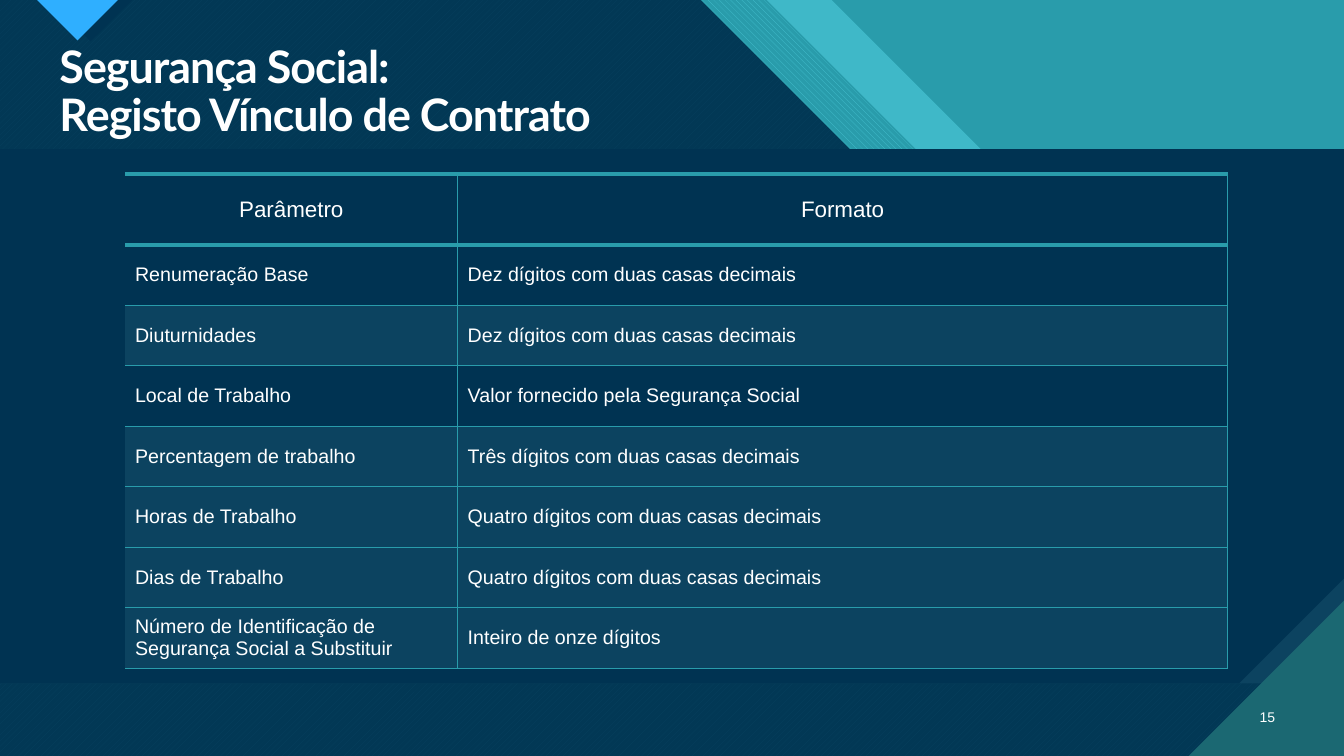
from lxml import etree
from pptx import Presentation
from pptx.dml.color import RGBColor
from pptx.enum.dml import MSO_PATTERN
from pptx.enum.text import MSO_ANCHOR, PP_ALIGN
from pptx.oxml.ns import qn
from pptx.util import Pt

DOWN_STRIPES = MSO_PATTERN.WIDE_DOWNWARD_DIAGONAL
UP_STRIPES = MSO_PATTERN.WIDE_UPWARD_DIAGONAL
MIDDLE = MSO_ANCHOR.MIDDLE
LEFT, CENTER, RIGHT = PP_ALIGN.LEFT, PP_ALIGN.CENTER, PP_ALIGN.RIGHT

TITLE = "Segurança Social:\vRegisto Vínculo de Contrato"
PAGE_NUMBER = "15"
HEADER = ("Parâmetro", "Formato")
PARAMETERS = [
    # name, format, shaded
    ("Renumeração Base", "Dez dígitos com duas casas decimais", False),
    ("Diuturnidades", "Dez dígitos com duas casas decimais", True),
    ("Local de Trabalho", "Valor fornecido pela Segurança Social", False),
    ("Percentagem de trabalho", "Três dígitos com duas casas decimais", True),
    ("Horas de Trabalho", "Quatro dígitos com duas casas decimais", True),
    ("Dias de Trabalho", "Quatro dígitos com duas casas decimais", True),
    ("Número de Identificação de Segurança Social a Substituir",
     "Inteiro de onze dígitos", True),
]

NAVY, SHADE, TEAL, LIGHT = "003352", "0C4360", "299CAB", "47C3D3"
GREEN, BLUE, WHITE = "1B6872", "2FAFFF", "FFFFFF"
WIDTH, HEIGHT = 960, 540
SHELF = 214
PANEL_TOP, PANEL_BOTTOM, PANEL_SNIP = 106.6, 488.2, 75
CORNER = 111
COLUMN_WIDTHS = (237.6, 550)
HEADER_HEIGHT, ROW_HEIGHT = 50.4, 43.2

# left edge, diagonal start, shelf end, colour, opacity, stripes (pattern, back)
BANDS = [
    (0, 594, 888.5, LIGHT, 74, None),
    (47.5, 547.5, 852.5, LIGHT, 100, (DOWN_STRIPES, TEAL)),
    (0, 500.4, 805, LIGHT, 100, (UP_STRIPES, GREEN)),
    (0, 500.4, 805, NAVY, 90, None),
]
# left, right, depth, colour
POINTERS = [(35, 94.5, 29.5, NAVY), (26.5, 84.3, 28.9, BLUE)]


def color(text):
    return RGBColor.from_string(text)


def add_polygon(page, points, fill, opacity=100, stripes=None):
    corners = [(Pt(x), Pt(y)) for x, y in points]
    builder = page.shapes.build_freeform(*corners[0])
    builder.add_line_segments(corners[1:], close=True)
    shape = builder.convert_to_shape()
    shape.shadow.inherit = False
    shape.line.fill.background()
    if stripes:
        shape.fill.patterned()
        shape.fill.pattern, back = stripes
        shape.fill.fore_color.rgb = color(fill)
        shape.fill.back_color.rgb = color(back)
        return
    shape.fill.solid()
    shape.fill.fore_color.rgb = color(fill)
    if opacity < 100:
        tint = next(shape.element.iter(qn("a:srgbClr")))
        etree.SubElement(tint, qn("a:alpha")).set("val", str(opacity * 1000))


def format_text(frame, size, font, align, bold=False):
    frame.vertical_anchor = MIDDLE
    frame.word_wrap = True
    for para in frame.paragraphs:
        para.alignment = align
        for span in para.runs:
            span.font.size = Pt(size)
            span.font.name = font
            span.font.bold = bold
            span.font.color.rgb = color(WHITE)


def set_borders(cell, widths):
    """Draw left, right, top and bottom lines; a width of 0 means no line."""
    properties = cell._tc.get_or_add_tcPr()
    for index, (side, width) in enumerate(zip(("lnL", "lnR", "lnT", "lnB"), widths)):
        line = etree.Element(qn("a:" + side), w=str(Pt(width)))
        if width:
            solid = etree.SubElement(line, qn("a:solidFill"))
            etree.SubElement(solid, qn("a:srgbClr"), val=TEAL)
        else:
            etree.SubElement(line, qn("a:noFill"))
        properties.insert(index, line)


def add_decoration(page):
    page.background.fill.solid()
    page.background.fill.fore_color.rgb = color(TEAL)
    for left, start, end, fill, opacity, stripes in BANDS:
        outline = [(left, 0), (start, 0), (start + SHELF, SHELF), (end, SHELF),
                   (WIDTH, SHELF + WIDTH - end), (WIDTH, HEIGHT), (left, HEIGHT)]
        add_polygon(page, outline, fill, opacity, stripes)
    for left, right, depth, fill in POINTERS:
        add_polygon(page, [(left, 0), (right, 0), ((left + right) / 2, depth)], fill)
    for snip, fill in ((0, SHADE), (PANEL_SNIP, NAVY)):
        add_polygon(page, [(0, PANEL_TOP), (WIDTH, PANEL_TOP),
                           (WIDTH, PANEL_BOTTOM - snip),
                           (WIDTH - snip, PANEL_BOTTOM), (0, PANEL_BOTTOM)], fill)
    add_polygon(page, [(WIDTH - CORNER, HEIGHT), (WIDTH, HEIGHT),
                       (WIDTH, HEIGHT - CORNER)], GREEN)


def add_title(page):
    title = page.shapes.title
    title.left, title.top, title.width, title.height = Pt(35.3), Pt(28), Pt(501), Pt(77)
    title.text_frame.text = TITLE
    format_text(title.text_frame, 32, "Lato", LEFT, bold=True)
    para = title.text_frame.paragraphs[0]
    para.line_spacing = 0.9
    for span in para.runs:
        span.font._element.set("spc", "-70")
    # The title placeholder comes first, so bring it in front of the decoration
    title.element.getparent().append(title.element)


def add_parameter_table(page):
    rows = [(*HEADER, False)] + PARAMETERS
    heights = [HEADER_HEIGHT] + [ROW_HEIGHT] * len(PARAMETERS)
    table = page.shapes.add_table(len(rows), len(HEADER), Pt(89.3), Pt(124.4),
                                  Pt(sum(COLUMN_WIDTHS)), Pt(sum(heights))).table
    table.first_row = table.horz_banding = False
    for column, width in zip(table.columns, COLUMN_WIDTHS):
        column.width = Pt(width)
    for number, (*texts, shaded) in enumerate(rows):
        table.rows[number].height = Pt(heights[number])
        is_header = number == 0
        for place, text in enumerate(texts):
            cell = table.cell(number, place)
            cell.text = text
            cell.vertical_anchor = MIDDLE
            format_text(cell.text_frame, 16 if is_header else 14, "Arial",
                        CENTER if is_header else LEFT)
            if shaded:
                cell.fill.solid()
                cell.fill.fore_color.rgb = color(SHADE)
            else:
                cell.fill.background()
            set_borders(cell, (1 if place else 0, 1, 3 if number < 2 else 1,
                               3 if is_header else 1))


def add_page_number(page):
    box = page.shapes.add_textbox(Pt(886.3), Pt(497.5), Pt(31.7), Pt(28.8))
    box.text_frame.text = PAGE_NUMBER
    format_text(box.text_frame, 10, "Arial", RIGHT)


def main():
    deck = Presentation()
    deck.slide_width, deck.slide_height = Pt(WIDTH), Pt(HEIGHT)
    page = deck.slides.add_slide(deck.slide_layouts.get_by_name("Title Only"))
    add_decoration(page)
    add_title(page)
    add_parameter_table(page)
    add_page_number(page)
    deck.save("out.pptx")


if __name__ == "__main__":
    main()
